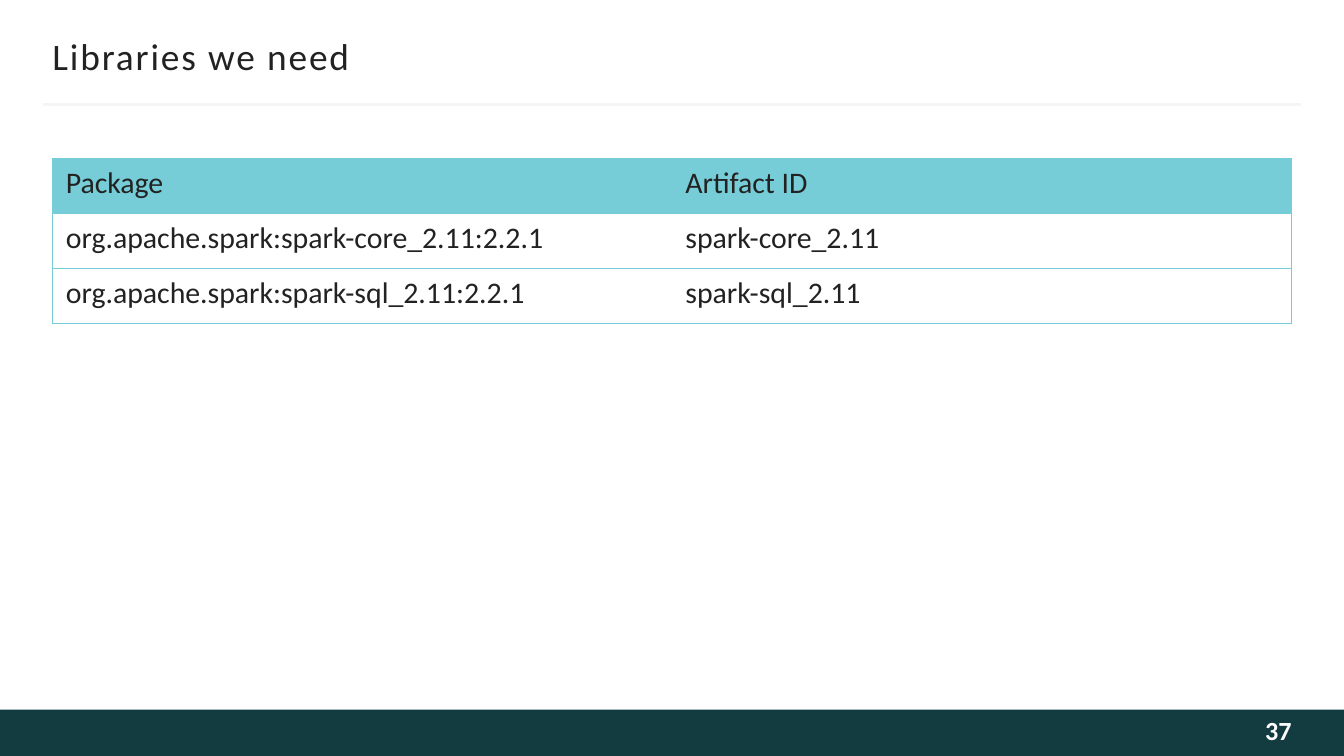
from pptx import Presentation
from pptx.dml.color import RGBColor
from pptx.enum.shapes import MSO_CONNECTOR, MSO_SHAPE
from pptx.enum.text import MSO_ANCHOR, PP_ALIGN
from pptx.oxml.ns import qn
from pptx.util import Inches, Pt
from lxml import etree

RECTANGLE = MSO_SHAPE.RECTANGLE
STRAIGHT = MSO_CONNECTOR.STRAIGHT
MIDDLE = MSO_ANCHOR.MIDDLE
LEFT, RIGHT = PP_ALIGN.LEFT, PP_ALIGN.RIGHT

FONT = "Calibri"
INK, TEAL, NAVY, RULE, WHITE = "222222", "76CDD8", "133C41", "F5F5F5", "FEFEFE"
MARGIN, CONTENT_WIDTH = 0.39, 9.22
FOOTER_TOP, FOOTER_HEIGHT = 5.28, 0.35
ROW_HEIGHT = 0.41

LIBRARIES = [
    ("Package", "Artifact ID"),
    ("org.apache.spark:spark-core_2.11:2.2.1", "spark-core_2.11"),
    ("org.apache.spark:spark-sql_2.11:2.2.1", "spark-sql_2.11"),
]


def color(value):
    return RGBColor.from_string(value)


def write(frame, text, size=16, ink=INK, bold=False, align=LEFT, spacing=0):
    """Write one paragraph; spacing is the letter spacing in points."""
    para = frame.paragraphs[0]
    para.alignment = align
    span = para.add_run()
    span.text = text
    span.font.name = FONT
    span.font.size = Pt(size)
    span.font.bold = bold
    span.font.color.rgb = color(ink)
    if spacing:
        span.font._element.set("spc", str(spacing * 100))


def add_text(page, text, left, top, width, height, bottom=0.05, **text_format):
    box = page.shapes.add_textbox(Inches(left), Inches(top), Inches(width), Inches(height))
    frame = box.text_frame
    frame.word_wrap = True
    frame.vertical_anchor = MIDDLE
    frame.margin_left = frame.margin_right = 0
    frame.margin_top, frame.margin_bottom = Inches(0.05), Inches(bottom)
    write(frame, text, **text_format)


def add_bar(page, left, top, width, height, fill):
    bar = page.shapes.add_shape(
        RECTANGLE, Inches(left), Inches(top), Inches(width), Inches(height))
    bar.shadow.inherit = False
    bar.fill.solid()
    bar.fill.fore_color.rgb = color(fill)
    bar.line.fill.background()


def add_rule(page, left, right, top, ink, weight):
    rule = page.shapes.add_connector(
        STRAIGHT, Inches(left), Inches(top), Inches(right), Inches(top))
    rule.line.color.rgb = color(ink)
    rule.line.width = Pt(weight)
    etree.SubElement(rule._element.spPr, qn("a:effectLst"))


def set_borders(cell, visible_sides):
    """Draw the visible sides in teal and hide the others."""
    properties = cell._tc.get_or_add_tcPr()
    for side in "LRTB":
        border = etree.SubElement(properties, qn(f"a:ln{side}"), w=str(Pt(0.5)))
        if side in visible_sides:
            fill = etree.SubElement(border, qn("a:solidFill"))
            etree.SubElement(fill, qn("a:srgbClr"), val=TEAL)
        else:
            etree.SubElement(border, qn("a:noFill"))


def add_library_table(page, rows, left, top, width):
    column_count = len(rows[0])
    table = page.shapes.add_table(
        len(rows), column_count, Inches(left), Inches(top),
        Inches(width), Inches(ROW_HEIGHT * len(rows))).table
    table.first_row = table.horz_banding = False
    for row_index, row in enumerate(rows):
        table.rows[row_index].height = Inches(ROW_HEIGHT)
        for column_index, text in enumerate(row):
            cell = table.cell(row_index, column_index)
            sides = "TB"
            if column_index == 0:
                sides += "L"
            if column_index == column_count - 1:
                sides += "R"
            set_borders(cell, sides)
            if row_index == 0:
                cell.fill.solid()
                cell.fill.fore_color.rgb = color(TEAL)
            else:
                cell.fill.background()
            write(cell.text_frame, text)


def main():
    deck = Presentation()
    deck.slide_width, deck.slide_height = Inches(10), Inches(5.625)
    page = deck.slides.add_slide(deck.slide_layouts[6])
    add_bar(page, 0, FOOTER_TOP, 10, FOOTER_HEIGHT, NAVY)
    add_rule(page, 0.32, 9.68, 0.78, RULE, 1.5)
    add_text(page, "Libraries we need", MARGIN, 0.25, CONTENT_WIDTH, 0.33,
             size=20, spacing=1)
    add_library_table(page, LIBRARIES, MARGIN, 1.18, CONTENT_WIDTH)
    add_text(page, "37", 8.11, FOOTER_TOP, 1.5, FOOTER_HEIGHT, bottom=0.09,
             size=14, ink=WHITE, bold=True, align=RIGHT)
    deck.save("out.pptx")


if __name__ == "__main__":
    main()
